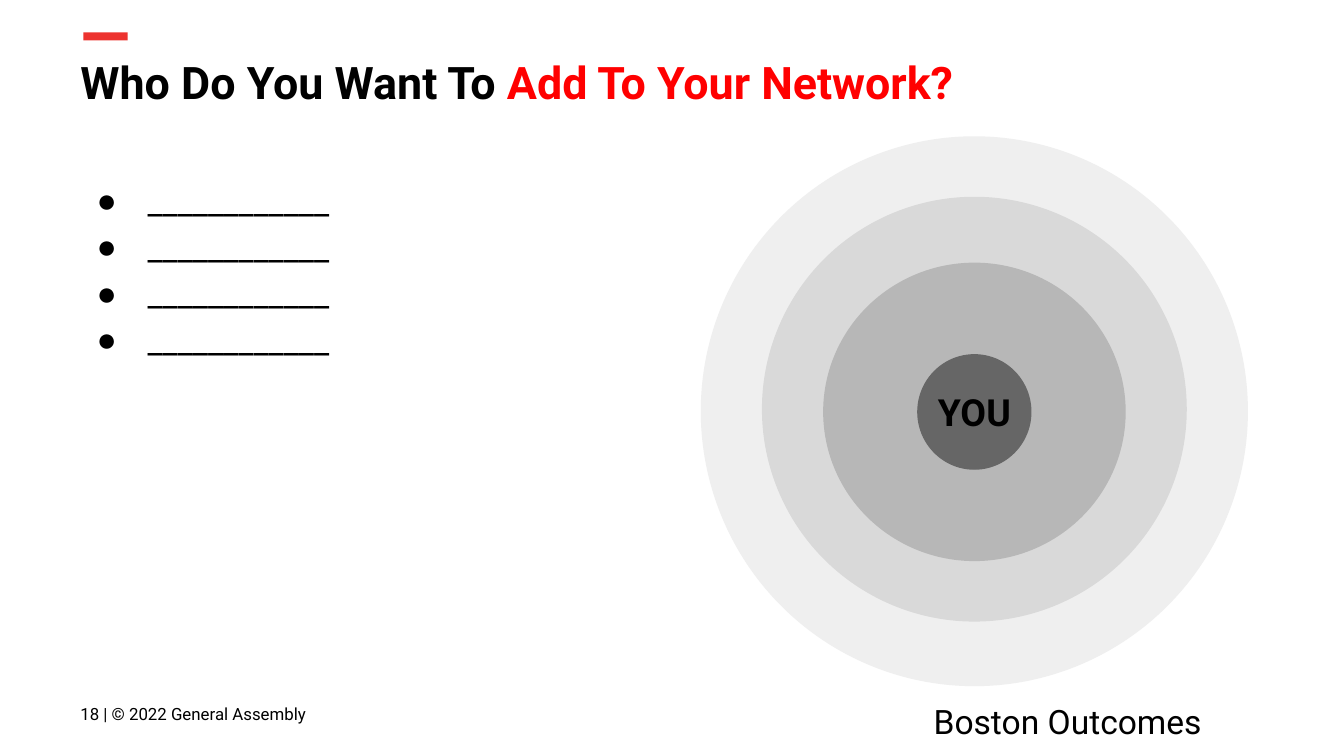
import dataclasses

import lxml.etree
import pptx
import pptx.dml.color
import pptx.enum.shapes
import pptx.enum.text
import pptx.oxml.ns
import pptx.slide
import pptx.text.text
import pptx.util

WIDE = 10
HIGH = WIDE * 9 / 16
FONT, MARK_FONT = "Roboto", "Arial"
BLACK, RED = "000000", "FF0000"
MID_X = 72.5
SHAPE = pptx.enum.shapes.MSO_SHAPE
ALIGN = pptx.enum.text.PP_ALIGN
ANCHOR = pptx.enum.text.MSO_ANCHOR


@dataclasses.dataclass
class Box:
    """Place and size in percent of the slide's width and height."""
    left: float
    top: float
    width: float
    height: float

    def emu(self) -> tuple[int, ...]:
        across, down = WIDE / 100, HIGH / 100
        sides = (self.left * across, self.top * down,
                 self.width * across, self.height * down)
        return tuple(pptx.util.Inches(side) for side in sides)


@dataclasses.dataclass
class Ring:
    mid_y: float
    width: float
    height: float
    color: str
    line: float = 2.25


@dataclasses.dataclass
class Label:
    """Each line is a list of (words, color) parts."""
    box: Box
    lines: list[list[tuple[str, str]]]
    size: float
    bold: bool = False
    align: ALIGN = ALIGN.LEFT
    anchor: ANCHOR = ANCHOR.MIDDLE
    bullet: str = ""


RINGS = [
    Ring(54.4, 40.4, 72.18, "EFEFEF"),
    Ring(54.13, 31.3, 55.64, "D9D9D9"),
    Ring(54.49, 22.2, 38.93, "B7B7B7"),
    Ring(54.49, 8.4, 15.11, "666666", 0.75),
]

LABELS = [
    Label(Box(5, 5.51, 93.2, 11.2),
          [[("Who Do You Want To", BLACK), (" Add To Your Network?", RED)]],
          24, bold=True, anchor=ANCHOR.TOP),
    Label(Box(5, 90.67, 31.3, 7.64),
          [[("18 | © 2022 General Assembly", BLACK)]], 9),
    Label(Box(50, 91.56, 40.4, 7.64),
          [[("Boston Outcomes", BLACK)]], 18, align=ALIGN.RIGHT),
    Label(Box(5, 21.33, 43, 45.87),
          [[("____________", BLACK)]] * 4, 18, anchor=ANCHOR.TOP, bullet="●"),
    Label(Box(67.75, 51.38, 9.5, 6.22),
          [[("YOU", BLACK)]], 20, bold=True, align=ALIGN.CENTER),
]


def paint(code: str) -> pptx.dml.color.RGBColor:
    return pptx.dml.color.RGBColor.from_string(code)


def draw_shape(slide: pptx.slide.Slide, kind: SHAPE, box: Box,
               color: str, line: float = 0) -> None:
    shape = slide.shapes.add_shape(kind, *box.emu())
    shape.shadow.inherit = False
    shape.fill.solid()
    shape.fill.fore_color.rgb = paint(color)
    if line:
        shape.line.color.rgb = paint(color)
        shape.line.width = pptx.util.Pt(line)
    else:
        shape.line.fill.background()


def draw_ring(slide: pptx.slide.Slide, ring: Ring) -> None:
    box = Box(MID_X - ring.width / 2, ring.mid_y - ring.height / 2,
              ring.width, ring.height)
    draw_shape(slide, SHAPE.OVAL, box, ring.color, ring.line)


def add_bullet(para: pptx.text.text._Paragraph, mark: str) -> None:
    name = pptx.oxml.ns.qn
    props = para._p.get_or_add_pPr()
    props.set("marL", str(pptx.util.Inches(0.5)))
    props.set("indent", str(pptx.util.Inches(-0.38)))
    tint = lxml.etree.SubElement(props, name("a:buClr"))
    lxml.etree.SubElement(tint, name("a:srgbClr"), val=BLACK)
    lxml.etree.SubElement(props, name("a:buFont"), typeface=MARK_FONT)
    lxml.etree.SubElement(props, name("a:buChar"), char=mark)
    para.line_spacing = 1.15


def draw_label(slide: pptx.slide.Slide, label: Label) -> None:
    frame = slide.shapes.add_textbox(*label.box.emu()).text_frame
    frame.word_wrap = True
    frame.vertical_anchor = label.anchor
    frame.margin_left = frame.margin_right = pptx.util.Inches(0.1)
    frame.margin_top = frame.margin_bottom = pptx.util.Inches(0.1)
    frame.text = "\n".join("" for _ in label.lines)
    for para, parts in zip(frame.paragraphs, label.lines):
        para.alignment = label.align
        if label.bullet:
            add_bullet(para, label.bullet)
        for words, color in parts:
            run = para.add_run()
            run.text = words
            run.font.name = FONT
            run.font.size = pptx.util.Pt(label.size)
            run.font.bold = label.bold
            run.font.color.rgb = paint(color)


def main() -> None:
    deck = pptx.Presentation()
    deck.slide_width = pptx.util.Inches(WIDE)
    deck.slide_height = pptx.util.Inches(HIGH)
    slide = deck.slides.add_slide(deck.slide_layouts[6])
    draw_shape(slide, SHAPE.RECTANGLE, Box(6.2, 4.27, 3.3, 1.07), "ED332F")
    for ring in RINGS:
        draw_ring(slide, ring)
    for label in LABELS:
        draw_label(slide, label)
    deck.save("out.pptx")


if __name__ == "__main__":
    main()
